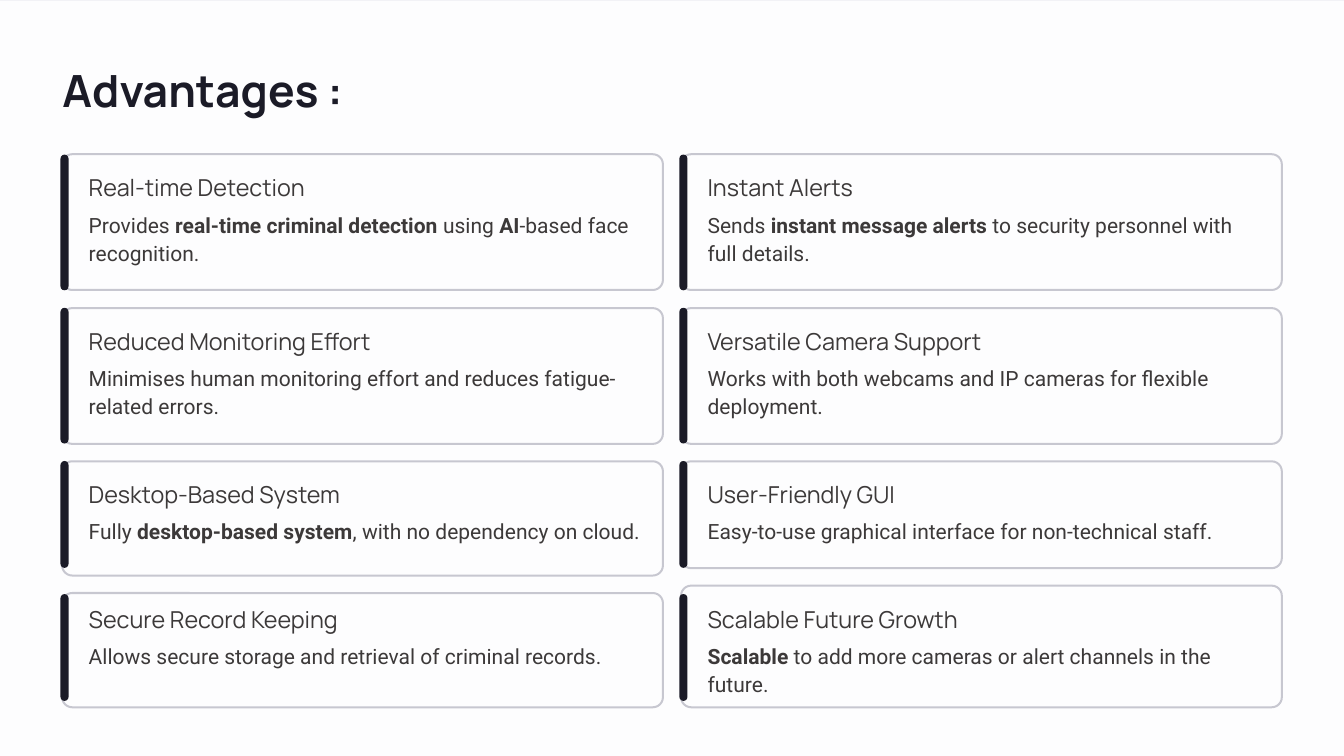
from pptx import Presentation
from pptx.dml.color import RGBColor
from pptx.enum.shapes import MSO_SHAPE
from pptx.util import Inches, Pt

INK, TEXT, BORDER = "1B1B27", "3C3939", "C7C7D0"
BORDER_W = 0.03
COLUMNS = (0.91, 10.12)
CARD_W = 8.97

# Each row: bar top, bar height, heading top, then one card per column.
# Each card: top, height, heading, body paragraphs (bold between **).
ROWS = [
    (2.3, 2.02, 2.59, [
        (2.28, 2.05, "Real-time Detection",
         ["Provides **real-time criminal detection** using **AI**-based face recognition."]),
        (2.28, 2.05, "Instant Alerts",
         ["Sends **instant message alerts** to security personnel with", "full details."]),
    ]),
    (4.58, 2.02, 4.87, [
        (4.57, 2.05, "Reduced Monitoring Effort",
         ["Minimises human monitoring effort and reduces fatigue-related errors."]),
        (4.57, 2.05, "Versatile Camera Support",
         ["Works with both webcams and IP cameras for flexible", "deployment."]),
    ]),
    (6.86, 1.59, 7.15, [
        (6.85, 1.73, "Desktop-Based System",
         ["Fully **desktop-based system**, with no dependency on cloud."]),
        (6.85, 1.62, "User-Friendly GUI",
         ["Easy-to-use graphical interface for non-technical staff."]),
    ]),
    (8.84, 1.59, 9.01, [
        (8.81, 1.73, "Secure Record Keeping",
         ["Allows secure storage and retrieval of criminal records."]),
        (8.7, 1.84, "Scalable Future Growth",
         ["**Scalable** to add more cameras or alert channels in the future."]),
    ]),
]


def rgb(value):
    return RGBColor.from_string(value)


def add_box(s, x, y, w, h, fill=None, line=None, radius=0):
    kind = MSO_SHAPE.ROUNDED_RECTANGLE if radius else MSO_SHAPE.RECTANGLE
    sp = s.shapes.add_shape(kind, Inches(x), Inches(y), Inches(w), Inches(h))
    sp.shadow.inherit = False
    if radius:
        sp.adjustments[0] = radius / min(w, h)
    if fill:
        sp.fill.solid()
        sp.fill.fore_color.rgb = rgb(fill)
    else:
        sp.fill.background()
    if line:
        sp.line.color.rgb = rgb(line)
        sp.line.width = Inches(BORDER_W)
    else:
        sp.line.fill.background()


def add_text(s, x, y, w, h, paragraphs, font, size, spacing, color=TEXT):
    tf = s.shapes.add_textbox(Inches(x), Inches(y), Inches(w), Inches(h)).text_frame
    tf.word_wrap = True
    tf.margin_left = tf.margin_right = tf.margin_top = tf.margin_bottom = 0
    for i, text in enumerate(paragraphs):
        p = tf.add_paragraph() if i else tf.paragraphs[0]
        p.line_spacing = Pt(spacing)
        p.font.name, p.font.size = font, Pt(size)
        p.font.color.rgb = rgb(color)
        # Every second piece between ** marks is bold
        for j, piece in enumerate(text.split("**")):
            if piece:
                r = p.add_run()
                r.text = piece
                if j % 2:
                    r.font.bold = True


def add_card(s, x, top, height, bar_top, bar_height, text_top, heading, body):
    # Border, drawn inside the card's edge
    half = BORDER_W / 2
    add_box(s, x + half, top + half, CARD_W - BORDER_W, height - BORDER_W,
            line=BORDER, radius=0.15)
    # Accent bar
    add_box(s, x - 0.01, bar_top, 0.12, bar_height, fill=INK, radius=0.06)
    # Heading and body
    add_text(s, x + 0.41, text_top, 5, 0.42, [heading], "Manrope", 25, 29.4)
    add_text(s, x + 0.41, text_top + 0.53, 8.25, 0.9, body, "Roboto", 22.5, 30)


def main():
    prs = Presentation()
    prs.slide_width, prs.slide_height = Inches(20), Inches(11.25)
    s = prs.slides.add_slide(prs.slide_layouts[6])

    # Background with a thin top edge
    add_box(s, 0, 0, 20, 11.25, fill="ECECF3")
    add_box(s, 0, 0.01, 20, 11.24, fill="FDFDFE")

    # Title
    add_text(s, 0.93, 0.91, 6.63, 0.78, ["**Advantages :**"], "Manrope", 47.5, 59.4, INK)

    # Cards
    for bar_top, bar_height, text_top, cards in ROWS:
        for x, (top, height, heading, body) in zip(COLUMNS, cards):
            add_card(s, x, top, height, bar_top, bar_height, text_top, heading, body)

    prs.save("out.pptx")


if __name__ == "__main__":
    main()
